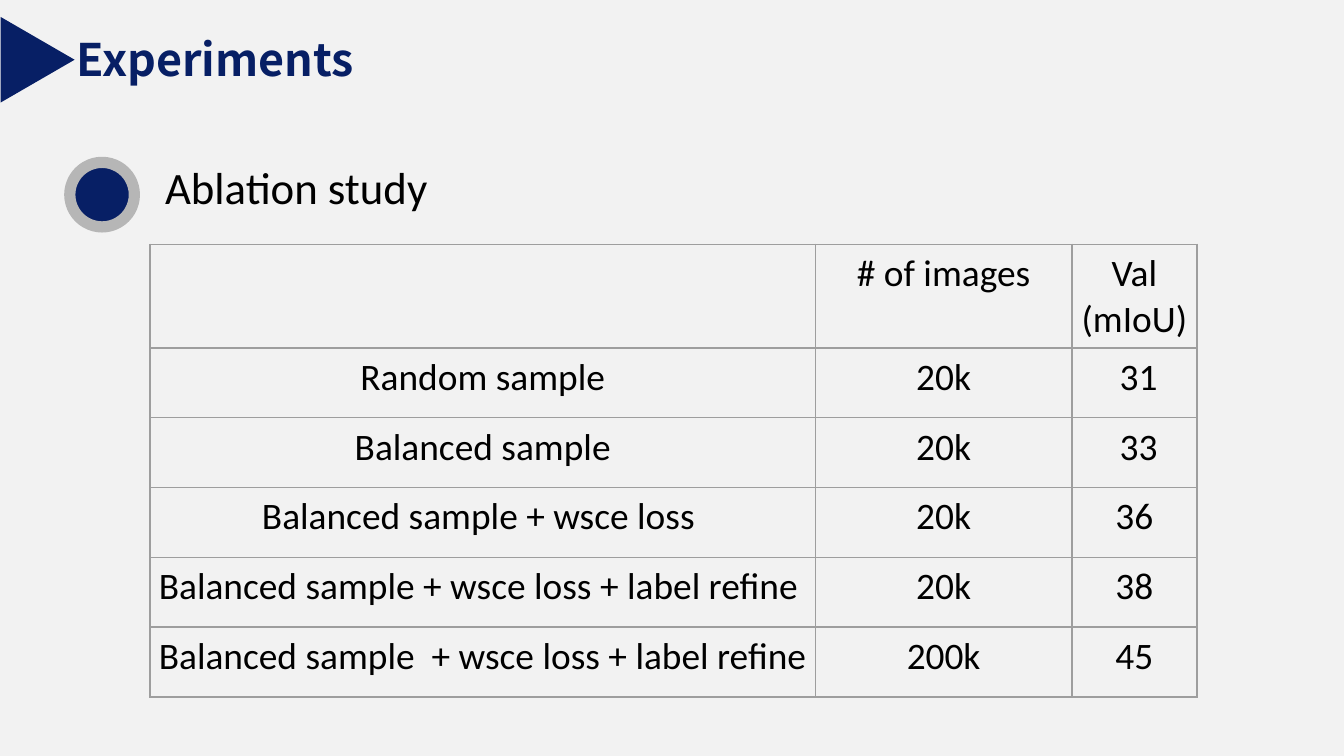
import pptx
import pptx.util
import pptx.dml.color
import pptx.enum.shapes
import pptx.enum.text
import pptx.oxml
import pptx.oxml.ns

Cm = pptx.util.Cm
Pt = pptx.util.Pt

HEADING = "Experiments"
TOPIC = "Ablation study"
RESULTS = [
    ("", "# of images", "Val (mIoU)"),
    ("Random sample", "20k", " 31"),
    ("Balanced sample", "20k", " 33"),
    ("Balanced sample + wsce loss ", "20k", "36"),
    ("Balanced sample + wsce loss + label refine ", "20k", "38"),
    ("Balanced sample  + wsce loss + label refine ", "200k", "45"),
]
COLORS = {
    "background": "F2F2F2",
    "navy": "071F65",
    "ring": "B6B6B6",
    "text": "000000",
    "border": "9E9E9E",
}
COLUMN_WIDTHS = (12.57, 4.85, 2.36)
HEADER_HEIGHT = 1.19
ROW_HEIGHT = 1.32
INSET = 0.13


def rgb(name):
    return pptx.dml.color.RGBColor.from_string(COLORS[name])


def place(shape, left, top, width, height):
    shape.left, shape.top = Cm(left), Cm(top)
    shape.width, shape.height = Cm(width), Cm(height)


def style_text(frame, font_name, size, color, align, bold=False):
    paragraph = frame.paragraphs[0]
    paragraph.alignment = align
    for run in paragraph.runs:
        run.font.name = font_name
        run.font.size = Pt(size)
        run.font.bold = bold
        run.font.color.rgb = rgb(color)


def set_insets(target, inset):
    target.margin_left = target.margin_right = Cm(inset)
    target.margin_top = target.margin_bottom = Cm(inset)


def add_marker(slide, kind, left, top, width, height):
    marker = slide.shapes.add_shape(kind, Cm(left), Cm(top), Cm(width), Cm(height))
    marker.shadow.inherit = False
    marker.fill.solid()
    marker.fill.fore_color.rgb = rgb("navy")
    marker.line.fill.background()
    return marker


def add_borders(cell):
    properties = cell._tc.get_or_add_tcPr()
    for index, side in enumerate(("lnL", "lnR", "lnT", "lnB")):
        border = pptx.oxml.parse_xml(
            f'<a:{side} {pptx.oxml.ns.nsdecls("a")} w="12700"><a:solidFill>'
            f'<a:srgbClr val="{COLORS["border"]}"/></a:solidFill></a:{side}>'
        )
        properties.insert(index, border)


def add_results(slide):
    table = slide.shapes.add_table(
        len(RESULTS), len(COLUMN_WIDTHS),
        Cm(2.84), Cm(4.62), Cm(sum(COLUMN_WIDTHS)), Cm(8.53),
    ).table
    table.first_row = False
    table.horz_banding = False
    for column, width in zip(table.columns, COLUMN_WIDTHS):
        column.width = Cm(width)
    for row_index, values in enumerate(RESULTS):
        table.rows[row_index].height = Cm(ROW_HEIGHT if row_index else HEADER_HEIGHT)
        for column_index, value in enumerate(values):
            cell = table.cell(row_index, column_index)
            cell.fill.background()
            add_borders(cell)
            set_insets(cell, INSET)
            cell.text_frame.text = value
            style_text(cell.text_frame, "Calibri", 20, "text",
                       pptx.enum.text.PP_ALIGN.CENTER)


def main():
    deck = pptx.Presentation()
    deck.slide_width, deck.slide_height = Cm(25.4), Cm(14.29)
    slide = deck.slides.add_slide(deck.slide_layouts[5])
    slide.background.fill.solid()
    slide.background.fill.fore_color.rgb = rgb("background")
    left_align = pptx.enum.text.PP_ALIGN.LEFT
    fit_shape = pptx.enum.text.MSO_AUTO_SIZE.SHAPE_TO_FIT_TEXT

    heading = slide.shapes.title
    place(heading, 1.32, 0.48, 5.59, 1.27)
    heading.text_frame.text = HEADING
    heading.text_frame.word_wrap = False
    heading.text_frame.auto_size = fit_shape
    heading.text_frame.vertical_anchor = pptx.enum.text.MSO_ANCHOR.MIDDLE
    set_insets(heading.text_frame, INSET)
    style_text(heading.text_frame, "Noto Sans CJK SC", 24, "navy", left_align, True)

    shapes = pptx.enum.shapes.MSO_SHAPE
    pointer = add_marker(slide, shapes.ISOSCELES_TRIANGLE, -0.1, 0.43, 1.62, 1.4)
    pointer.rotation = 90

    topic = slide.shapes.add_textbox(Cm(2.87), Cm(2.9), Cm(23.93), Cm(1.27))
    topic.text_frame.text = TOPIC
    topic.text_frame.word_wrap = True
    topic.text_frame.auto_size = fit_shape
    style_text(topic.text_frame, "Calibri", 24, "text", left_align)

    bullet = add_marker(slide, shapes.OVAL, 1.32, 3.07, 1.22, 1.22)
    bullet.line.color.rgb = rgb("ring")
    bullet.line.width = Pt(6)

    add_results(slide)
    deck.save("out.pptx")


if __name__ == "__main__":
    main()
